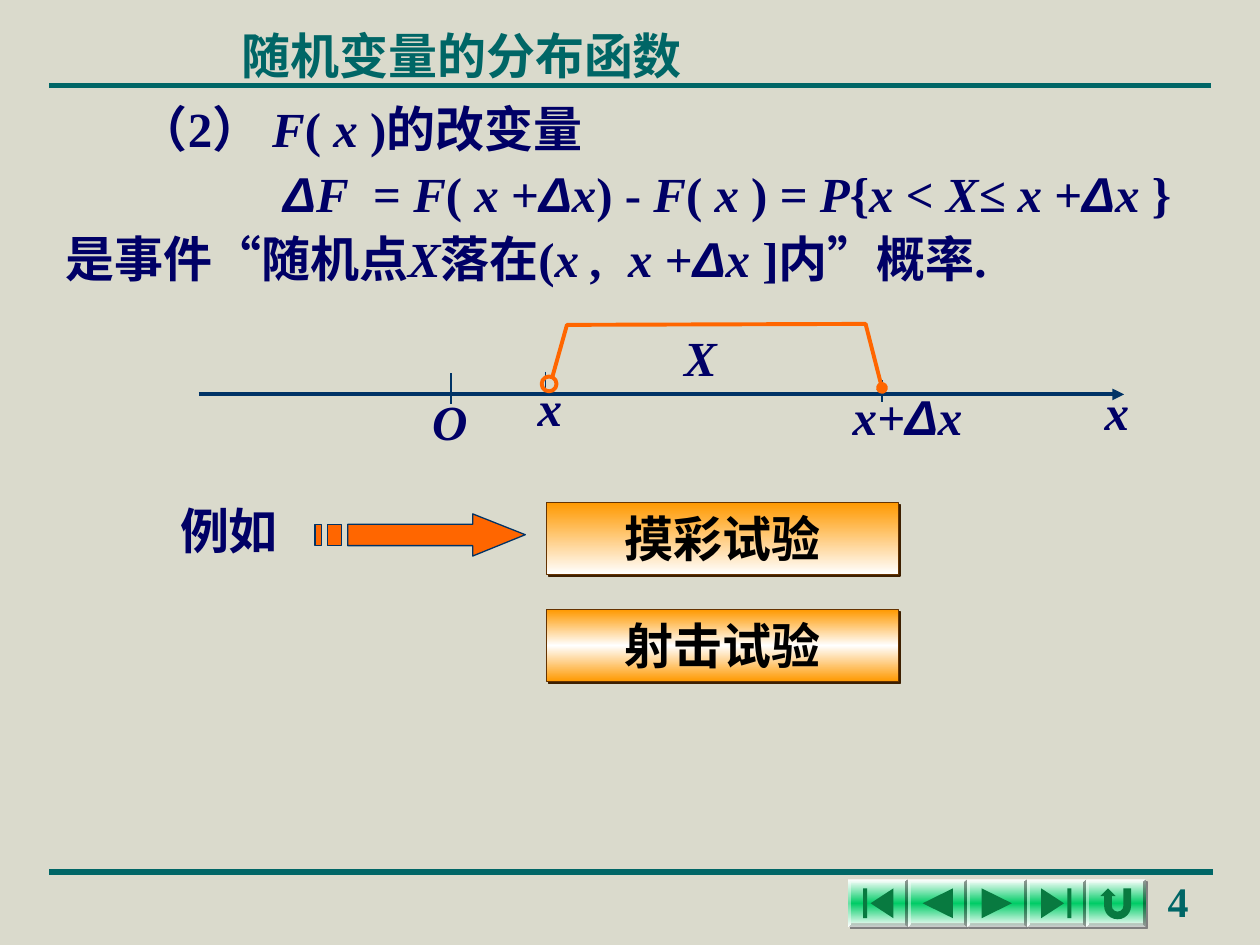
from lxml import etree
from pptx import Presentation
from pptx.dml.color import RGBColor
from pptx.enum.shapes import MSO_CONNECTOR, MSO_SHAPE
from pptx.enum.text import MSO_ANCHOR, PP_ALIGN
from pptx.oxml.ns import qn
from pptx.util import Cm, Pt

STRAIGHT = MSO_CONNECTOR.STRAIGHT
RECTANGLE, OVAL = MSO_SHAPE.RECTANGLE, MSO_SHAPE.OVAL
BEVEL, U_TURN = MSO_SHAPE.BEVEL, MSO_SHAPE.U_TURN_ARROW
LEFT, CENTER, TOP = PP_ALIGN.LEFT, PP_ALIGN.CENTER, MSO_ANCHOR.TOP
SERIF, SANS, CHINESE = "Times New Roman", "Arial", "Noto Sans CJK SC"
COLORS = {
    "background": "DADACC", "teal": "006666", "navy": "000066", "axis": "003366",
    "orange": "FF6600", "amber": "FF9900", "white": "FFFFFF", "brown": "663300",
    "dark brown": "3D1F00", "black": "000000", "green": "00CC66",
    "dark green": "087A40", "gray": "808080",
}


def rgb(name):
    return RGBColor.from_string(COLORS[name])


def write(paragraph, text, font=SERIF, size=28, color="navy", italic=False, spacing=0):
    run = paragraph.add_run()
    run.text = text
    run.font.name, run.font.size = font, Pt(size)
    run.font.bold, run.font.italic = True, italic
    run.font.color.rgb = rgb(color)
    properties = run.font._element
    etree.SubElement(properties, qn("a:ea")).set("typeface", CHINESE)
    if spacing:
        properties.set("spc", str(spacing * 100))


def write_math(paragraph, text, **style):
    """Write text in which parts between * are italic; every Δ is sans serif."""
    for index, part in enumerate(text.split("*")):
        for position, piece in enumerate(part.split("Δ")):
            if position:
                write(paragraph, "Δ", font=SANS, italic=True)
            if piece:
                write(paragraph, piece, italic=index % 2 == 1, **style)


def format_paragraph(paragraph, align=LEFT, indent=0, line_spacing=1.0):
    paragraph.alignment, paragraph.line_spacing = align, line_spacing
    properties = paragraph._p.get_or_add_pPr()
    properties.set("marL", str(Cm(indent)))
    properties.set("indent", "0")


def add_text_box(slide, left, top, width, height):
    frame = slide.shapes.add_textbox(Cm(left), Cm(top), Cm(width), Cm(height)).text_frame
    frame.word_wrap, frame.vertical_anchor = True, TOP
    return frame


def add_label(slide, left, top, width, text, height=1.45, **style):
    write_math(add_text_box(slide, left, top, width, height).paragraphs[0], text, **style)


def add_tail(shape, kind):
    etree.SubElement(shape.line._get_or_add_ln(), qn("a:tailEnd")).set("type", kind)


def add_line(slide, start, end, color, line_width, arrow=False):
    line = slide.shapes.add_connector(STRAIGHT, *(Cm(value) for value in start + end))
    line.line.color.rgb, line.line.width = rgb(color), Pt(line_width)
    if arrow:
        add_tail(line, "triangle")
    etree.SubElement(line._element.spPr, qn("a:effectLst"))


def style_shape(shape, fill=None, line=None, line_width=0.75):
    shape.shadow.inherit = False
    if fill:
        shape.fill.solid()
        shape.fill.fore_color.rgb = rgb(fill)
    else:
        shape.fill.background()
    if line:
        shape.line.color.rgb, shape.line.width = rgb(line), Pt(line_width)
    else:
        shape.line.fill.background()


def add_shape(slide, kind, left, top, width, height, **style):
    shape = slide.shapes.add_shape(kind, Cm(left), Cm(top), Cm(width), Cm(height))
    style_shape(shape, **style)
    return shape


def add_outline(slide, left, top, contours, closed=True, **style):
    builder = None
    for contour in contours:
        points = [(Cm(left + x), Cm(top + y)) for x, y in contour]
        if builder is None:
            builder = slide.shapes.build_freeform(*points[0])
        else:
            builder.move_to(*points[0])
        builder.add_line_segments(points[1:], close=closed)
    shape = builder.convert_to_shape()
    style_shape(shape, **style)
    return shape


def add_gradient(shape, names):
    shape.fill.gradient()
    shape.fill.gradient_angle = 270
    stops = shape._element.spPr.find(".//" + qn("a:gsLst"))
    for stop in list(stops):
        stops.remove(stop)
    for index, name in enumerate(names):
        stop = etree.SubElement(stops, qn("a:gs"), pos=str(100000 * index // (len(names) - 1)))
        etree.SubElement(stop, qn("a:srgbClr"), val=COLORS[name])


def add_shadow(shape, color):
    effects = shape._element.spPr.find(qn("a:effectLst"))
    shadow = etree.SubElement(effects, qn("a:outerShdw"), blurRad="0",
                              dist=str(Pt(1.4)), dir="2700000", algn="ctr", rotWithShape="0")
    etree.SubElement(shadow, qn("a:srgbClr"), val=COLORS[color])


def bar(left, top, right, bottom):
    return [(left, top), (right, top), (right, bottom), (left, bottom)]


def add_header(slide, left, top):
    add_line(slide, (left, top + 1.57), (left + 23.42, top + 1.57), "teal", 3)
    frame = add_text_box(slide, left + 1.9, top, 17.15, 1.57)
    frame.margin_bottom = Cm(0.03)
    format_paragraph(frame.paragraphs[0], indent=1.73, line_spacing=1.2)
    write(frame.paragraphs[0], "随机变量的分布函数", color="teal")


def add_statement(slide, left, top, width, height):
    frame = add_text_box(slide, left, top, width, height)
    rows = [
        (1.48, ["（2） *F*( *x* )的改变量"]),
        (4.39, ["*ΔF*", "= *F*( *x* +Δ*x*) - *F*( *x* ) = *P*{*x < X≤ x* +Δ*x *}"]),
        (0, ["是事件“随机点*X*落在(*x ,*", "*x* +Δ*x *]内”概率."]),
    ]
    for index, (indent, parts) in enumerate(rows):
        paragraph = frame.add_paragraph() if index else frame.paragraphs[0]
        format_paragraph(paragraph, indent=indent, line_spacing=1.1)
        for position, part in enumerate(parts):
            if position:
                write(paragraph, " ", spacing=7)  # wide gap
            write_math(paragraph, part)


def add_number_line(slide, left, top):
    # Axis and ticks
    add_line(slide, (left, top + 1.47), (left + 18.65, top + 1.47), "axis", 2.25, arrow=True)
    for x, start, end in [(5.08, 1.04, 1.67), (6.99, 1.01, 1.42), (13.77, 1.19, 1.62)]:
        add_line(slide, (left + x, top + start), (left + x, top + end), "axis", 0.75)
    # Labels
    for x, y, width, text in [(4.45, 1.29, 1.27, "*O*"), (18.01, 1.09, 1.27, "*x*"),
                              (6.58, 1.01, 1.27, "*x*"), (12.93, 1.19, 4.01, "*x+Δx*"),
                              (9.53, 0, 1.47, "*X*")]:
        add_label(slide, left + x, top + y, width, text)
    # Half-open interval
    bracket = add_outline(slide, left, top,
                          [[(7.12, 1.14), (7.42, 0.07), (13.44, 0.05), (13.77, 1.34)]],
                          closed=False, line="orange", line_width=2.25)
    add_tail(bracket, "oval")
    add_shape(slide, OVAL, left + 6.91, top + 1.11, 0.3, 0.3, line="orange", line_width=2.25)


def add_examples(slide, left, top):
    add_label(slide, left, top, 3.61, "例如", font=CHINESE)
    # Striped arrow
    head = [(3.18, 0), (3.18, 0.21), (0.66, 0.21), (0.66, 0.64),
            (3.18, 0.64), (3.18, 0.85), (4.24, 0.42)]
    add_outline(slide, left + 2.97, top + 0.4,
                [head, bar(0.25, 0.21, 0.53, 0.64), bar(0, 0.21, 0.13, 0.64)],
                fill="orange", line="axis")
    # Experiment boxes
    boxes = [("摸彩试验", ["amber", "white"]), ("射击试验", ["amber", "white", "amber"])]
    for index, (text, gradient) in enumerate(boxes):
        box = add_shape(slide, RECTANGLE, left + 7.64, top + 0.17 + 2.16 * index,
                        7.09, 1.45, line="brown")
        add_gradient(box, gradient)
        add_shadow(box, "dark brown")
        box.text_frame.vertical_anchor = TOP
        format_paragraph(box.text_frame.paragraphs[0], align=CENTER)
        write(box.text_frame.paragraphs[0], text, font=CHINESE, color="black")


def add_navigation(slide, left, top, width=1.2, height=0.96):
    add_line(slide, (0.99, top - 0.15), (24.46, top - 0.15), "teal", 3)
    first = [[(0.45, 0.48), (0.91, 0.78), (0.91, 0.18)], bar(0.3, 0.18, 0.38, 0.78)]
    previous = [[(0.91, 0.18), (0.3, 0.48), (0.91, 0.78)]]
    following, last = ([[(width - x, y) for x, y in contour] for contour in icon]
                       for icon in (previous, first))
    for index, icon in enumerate([first, previous, following, last, None]):
        x = left + width * index
        button = add_shape(slide, BEVEL, x, top, width, height)
        button.adjustments[0] = 0.065
        add_gradient(button, ["white", "green", "white"])
        add_shadow(button, "gray")
        if icon:
            add_outline(slide, x, top, icon, fill="dark green")
        else:
            arrow = add_shape(slide, U_TURN, x + 0.28, top + 0.18, 0.62, 0.62, fill="dark green")
            arrow.rotation = 180
            for number, value in enumerate([0.25, 0.28, 0.25, 0.43, 1]):
                arrow.adjustments[number] = value
    add_label(slide, left + 6.19, top - 0.2, 2.01, "4", height=1.27, size=24, color="teal")


def main():
    presentation = Presentation()
    presentation.slide_width, presentation.slide_height = Cm(25.4), Cm(19.05)
    slide = presentation.slides.add_slide(presentation.slide_layouts[6])
    slide.background.fill.solid()
    slide.background.fill.fore_color.rgb = rgb("background")
    add_header(slide, 0.99, 0.15)
    add_statement(slide, 1.07, 1.75, 23.7, 5.49)
    add_number_line(slide, 4.01, 6.48)
    add_examples(slide, 3.38, 9.96)
    add_navigation(slide, 17.1, 17.73)
    presentation.save("out.pptx")


if __name__ == "__main__":
    main()
